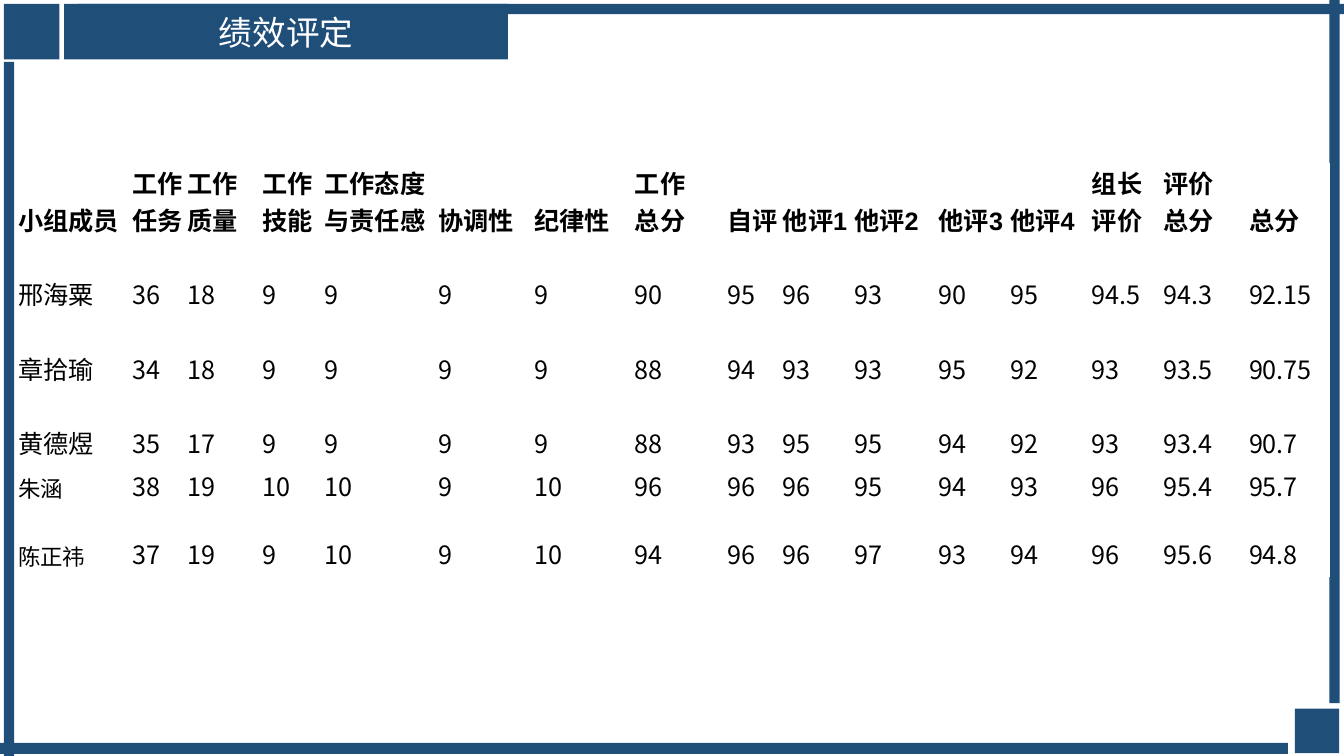
from pptx import Presentation
from pptx.dml.color import RGBColor
from pptx.enum.shapes import MSO_SHAPE
from pptx.enum.text import MSO_ANCHOR, PP_ALIGN
from pptx.oxml.ns import qn
from pptx.util import Cm, Pt
from lxml import etree

RECT = MSO_SHAPE.RECTANGLE
MIDDLE, BOTTOM = MSO_ANCHOR.MIDDLE, MSO_ANCHOR.BOTTOM
LEFT, CENTER = PP_ALIGN.LEFT, PP_ALIGN.CENTER

COLORS = {"navy": "1F4E79", "white": "FFFFFF", "black": "000000"}
HAN, LATIN = "Noto Sans CJK SC", "Arial"
WIDE, HIGH = 33.87, 19.05

WIDTHS = [2.87, 1.4, 1.88, 1.57, 2.87, 2.41, 2.54, 1.47, 0.86,
          1.4, 1.8, 2.13, 1.8, 2.06, 1.8, 1.55, 0.58, 2.06]
HEIGHTS = [1.88, 1.88, 1.88, 1.88, 1.02, 1.7]
GAPS = (8, 16)  # empty spacer columns
HEADS = ["小组成员", "工作任务", "工作质量", "工作技能", "工作态度与责任感",
         "协调性", "纪律性", "工作总分", "自评", "他评1", "他评2", "他评3",
         "他评4", "组长评价", "评价总分", "总分"]
# Name, name size, scores
SCORES = [
    ("邢海粟", 18, "36 18 9 9 9 9 90 95 96 93 90 95 94.5 94.3 92.15"),
    ("章拾瑜", 18, "34 18 9 9 9 9 88 94 93 93 95 92 93 93.5 90.75"),
    ("黄德煜", 18, "35 17 9 9 9 9 88 93 95 95 94 92 93 93.4 90.7"),
    ("朱涵", 16, "38 19 10 10 9 10 96 96 96 95 94 93 96 95.4 95.7"),
    ("陈正祎", 16, "37 19 9 10 9 10 94 96 96 97 93 94 96 95.6 94.8"),
]


def color(name):
    return RGBColor.from_string(COLORS[name])


def write(frame, text, size=18, font=HAN, tone="black", bold=False, align=LEFT):
    para = frame.paragraphs[0]
    para.alignment = align
    run = para.add_run()
    run.text = text
    run.font.size = Pt(size)
    run.font.bold = bold
    run.font.color.rgb = color(tone)
    run.font.name = font
    east = etree.SubElement(run.font._element, qn("a:ea"))
    east.set("typeface", HAN)


def block(slide, x, y, w, h):
    shape = slide.shapes.add_shape(RECT, Cm(x), Cm(y), Cm(w), Cm(h))
    shape.shadow.inherit = False
    shape.fill.solid()
    shape.fill.fore_color.rgb = color("navy")
    shape.line.fill.background()
    return shape


def frame(slide, w, h):
    bar, edge = 0.26, 0.1
    # Top and bottom bars
    block(slide, 1.96, edge, w - 1.96, bar)
    block(slide, 0, h - 0.33, w - 1.41, 0.28)
    # Side bars
    block(slide, w - 0.37, 0, bar, 17.72)
    block(slide, edge, 1.56, bar, h - 1.56)
    # Corner squares
    block(slide, w - 1.24, 17.86, 1.12, 1.12)
    block(slide, edge, edge, 1.4, 1.4)


def title(slide, text, x, y, w, h):
    box = block(slide, x, y, w, h).text_frame
    box.vertical_anchor = MIDDLE
    write(box, text, size=24, tone="white", align=CENTER)


def spread(items):
    """Leave the spacer columns out and pair each item with its column."""
    cols = [col for col in range(len(WIDTHS)) if col not in GAPS]
    return zip(cols, items)


def fill(cell, text, **style):
    cell.vertical_anchor = BOTTOM
    cell.margin_left = cell.margin_right = cell.margin_top = Cm(0.03)
    cell.margin_bottom = Cm(0.13)
    write(cell.text_frame, text, **style)


def grades(slide, x, y):
    table = slide.shapes.add_table(
        len(HEIGHTS), len(WIDTHS), Cm(x), Cm(y),
        Cm(sum(WIDTHS)), Cm(sum(HEIGHTS))).table
    table.first_row = table.horz_banding = False
    for col, size in zip(table.columns, WIDTHS):
        col.width = Cm(size)
    for row, size in zip(table.rows, HEIGHTS):
        row.height = Cm(size)
    for cell in table.iter_cells():
        cell.fill.background()
    # Header row
    for col, text in spread(HEADS):
        fill(table.cell(0, col), text, font=LATIN, bold=True)
    # One row per member
    for row, (name, size, marks) in enumerate(SCORES, 1):
        for col, text in spread([name] + marks.split()):
            style = {"font": LATIN, "size": size} if col == 0 else {}
            fill(table.cell(row, col), text, **style)


def main():
    deck = Presentation()
    deck.slide_width, deck.slide_height = Cm(WIDE), Cm(HIGH)
    slide = deck.slides.add_slide(deck.slide_layouts[6])
    frame(slide, WIDE, HIGH)
    title(slide, "绩效评定", 1.62, 0.1, 11.18, 1.4)
    grades(slide, 0.43, 4.11)
    deck.save("out.pptx")


if __name__ == "__main__":
    main()
